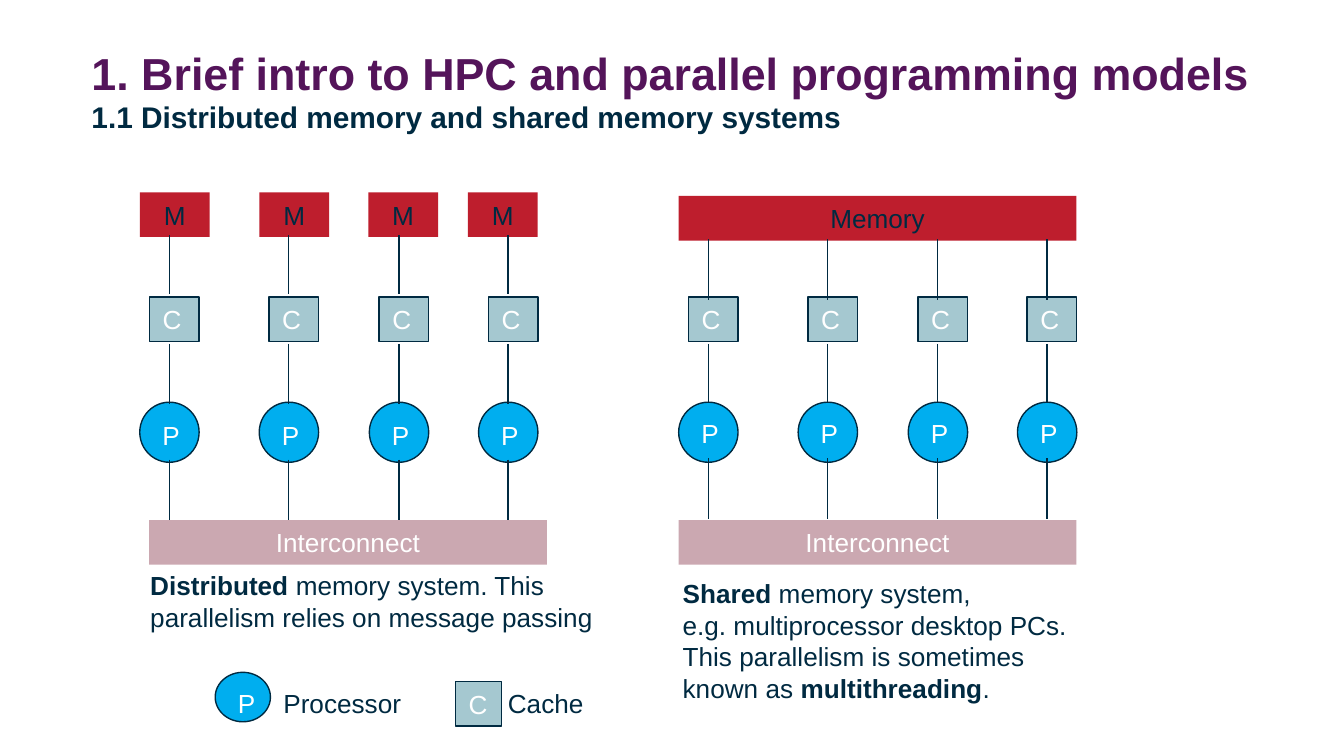
"""Build a slide on distributed and shared memory systems."""
from lxml.etree import SubElement
from pptx import Presentation as Deck
from pptx.dml.color import RGBColor as Color
from pptx.enum.shapes import MSO_CONNECTOR as Conn, MSO_SHAPE as Kind
from pptx.enum.text import MSO_ANCHOR as Anchor, MSO_AUTO_SIZE as Fit, PP_ALIGN as Align
from pptx.oxml.ns import qn
from pptx.util import Pt

HEX = {"plum": "54145A", "navy": "002A41", "white": "FFFFFF", "red": "BE1E2D",
       "teal": "A5C8D0", "blue": "00AEEF", "rose": "CBA8B1"}
TITLE = [("1. Brief intro to HPC and parallel programming models", 24, "plum"),
         ("1.1 Distributed memory and shared memory systems", 16, "navy")]
STEPS = [0, 64, 123, 181.5]
BAR = 213.1
SYSTEMS = [
    {"x": 90.7, "bus": 79.9, "ptext": 221,
     "mem": [("M", x, 103, 37.4) for x in (74.9, 139, 197.3, 250.6)],
     "links": [(126, 157.7), (184.3, 216.7), (246.2, 278.6)],
     "note": (73.4, 301.7, 257.8, 41),
     "text": [[("Distributed", True),
               (" memory system. This parallelism relies on message passing", False)]]},
    {"x": 379.4, "bus": 363.6, "ptext": 220.3,
     "mem": [("Memory", 363.6, 105, BAR)],
     "links": [(128.2, 160.6), (184.3, 216), (245.5, 278)],
     "note": (358.6, 306, 222.5, 74.2),
     "text": [[("Shared", True), (" memory system,", False)],
              [("e.g. multiprocessor desktop PCs. This parallelism is sometimes known as ", False),
               ("multithreading", True), (".", False)]]},
]
KEYS = [("Processor", 144.7, 365, 212.4, 23.8), ("Cache", 265, 365, 67.7, 23.8)]


def tint(name):
    return Color.from_string(HEX[name])


def style(run, size, hue, bold=False):
    form = {"name": "Arial", "size": Pt(size), "bold": bold}
    for key, val in form.items():
        setattr(run.font, key, val)
    run.font.color.rgb = tint(hue)


def write(shape, paras, hue, align=Align.LEFT):
    frame = shape.text_frame
    form = {"word_wrap": True, "auto_size": Fit.NONE, "vertical_anchor": Anchor.TOP}
    for key, val in form.items():
        setattr(frame, key, val)
    for num, runs in enumerate(paras):
        para = frame.add_paragraph() if num else frame.paragraphs[0]
        para.alignment = align
        for text, bold in runs:
            run = para.add_run()
            run.text = text
            style(run, 14, hue, bold)


def label(slide, paras, hue, *box):
    write(slide.shapes.add_textbox(*map(Pt, box)), paras, hue)


def block(slide, kind, fill, box, text="", hue="white", edge=True, align=Align.LEFT):
    shape = slide.shapes.add_shape(kind, *map(Pt, box))
    shape.shadow.inherit = False
    shape.fill.solid()
    shape.fill.fore_color.rgb = tint(fill)
    if edge:
        shape.line.color.rgb = tint("navy")
        shape.line.width = Pt(0.75)
    else:
        shape.line.fill.background()
    if text:
        write(shape, [[(text, False)]], hue, align)


def bar(slide, fill, text, hue, x, y, wide):
    block(slide, Kind.RECTANGLE, fill, (x, y, wide, 23.9), text, hue, False, Align.CENTER)


def cache(slide, x, y, wide):
    block(slide, Kind.RECTANGLE, "teal", (x, y, wide, 23.9), "C")


def proc(slide, box, x, y):
    block(slide, Kind.OVAL, "blue", box)
    label(slide, [[("P", False)]], "white", x, y, 21, 23.8)


def link(slide, x, top, end):
    line = slide.shapes.add_connector(Conn.STRAIGHT, Pt(x), Pt(top), Pt(x), Pt(end))
    line.line.color.rgb = tint("navy")
    line.line.width = Pt(0.75)
    SubElement(line._element.spPr, qn("a:effectLst"))


def head(slide):
    title = slide.shapes.title
    place = {"left": 49, "top": 21.6, "width": 622, "height": 67.7}
    for key, val in place.items():
        setattr(title, key, Pt(val))
    frame = title.text_frame
    form = {"margin_left": 0, "margin_right": 0, "margin_top": Pt(2.7), "margin_bottom": 0,
            "word_wrap": True, "auto_size": Fit.NONE, "vertical_anchor": Anchor.TOP}
    for key, val in form.items():
        setattr(frame, key, val)
    para = frame.paragraphs[0]
    para.alignment = Align.LEFT
    for num, (text, size, hue) in enumerate(TITLE):
        if num:
            para.add_line_break()
        run = para.add_run()
        run.text = text
        style(run, size, hue, True)


def draw(slide, data):
    mids = [data["x"] + step for step in STEPS]
    for mid in mids:
        proc(slide, (mid - 15.8, 215.5, 31.8, 32.2), mid - 10.8, data["ptext"])
        cache(slide, mid - 10.6, 159.2, 26.6)
    bar(slide, "rose", "Interconnect", "white", data["bus"], 278.6, BAR)
    for text, x, y, wide in data["mem"]:
        bar(slide, "red", text, "navy", x, y, wide)
    for mid in mids:
        for top, end in data["links"]:
            link(slide, mid, top, end)
    label(slide, data["text"], "navy", *data["note"])


def main():
    deck = Deck()
    deck.slide_width, deck.slide_height = Pt(720), Pt(405)
    slide = deck.slides.add_slide(deck.slide_layouts[5])
    head(slide)
    for data in SYSTEMS:
        draw(slide, data)
    proc(slide, (115.3, 360.2, 29.6, 26.5), 120.3, 365)
    cache(slide, 244, 365, 24.7)
    for text, *box in KEYS:
        label(slide, [[(text, False)]], "navy", *box)
    deck.save("out.pptx")


if __name__ == "__main__":
    main()
